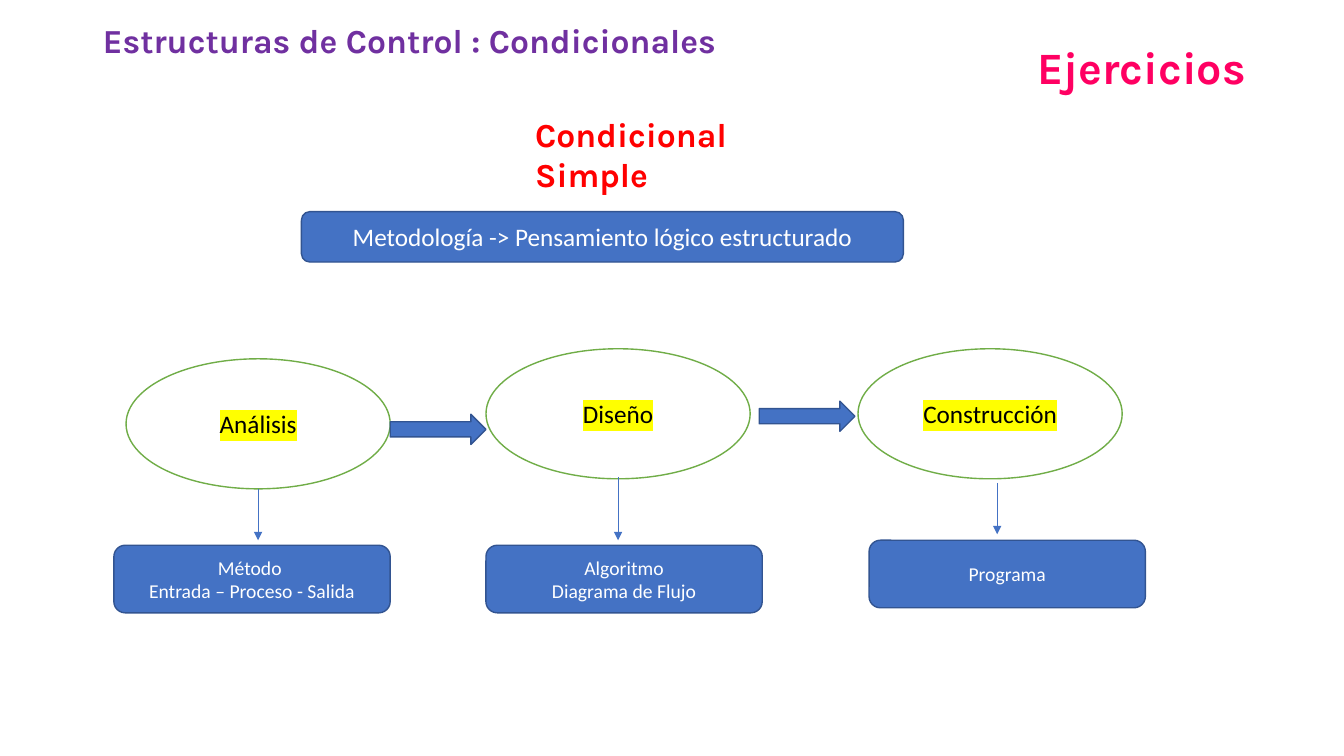
import pptx
import pptx.util
import pptx.dml.color
import pptx.enum.shapes
import pptx.enum.text
import pptx.oxml.ns
from lxml import etree

Inches, Pt = pptx.util.Inches, pptx.util.Pt
RGB = pptx.dml.color.RGBColor.from_string
SHAPE = pptx.enum.shapes.MSO_SHAPE
ALIGN = pptx.enum.text.PP_ALIGN
ANCHOR = pptx.enum.text.MSO_ANCHOR
qn = pptx.oxml.ns.qn

COLORS = {
    "white": "FFFFFF", "black": "000000", "blue": "4472C4", "navy": "325491",
    "green": "70AD47", "yellow": "FFFF00", "purple": "7030A0",
    "pink": "FF0062", "red": "FF0000",
}


def write(frame, lines, align, **font):
    """Fill a text frame, one paragraph per line; color is a key of COLORS."""
    color = font.pop("color")
    for i, line in enumerate(lines):
        paragraph = frame.paragraphs[0] if i == 0 else frame.add_paragraph()
        paragraph.alignment = align
        run = paragraph.add_run()
        run.text = line
        run.font.color.rgb = RGB(COLORS[color])
        for name, value in font.items():
            setattr(run.font, name, value)


def add_block(kind, left, top, width, height, fill, line):
    block = slide.shapes.add_shape(
        kind, Inches(left), Inches(top), Inches(width), Inches(height))
    block.shadow.inherit = False
    block.fill.solid()
    block.fill.fore_color.rgb = RGB(COLORS[fill])
    block.line.color.rgb = RGB(COLORS[line])
    block.line.width = Pt(1)
    block.text_frame.word_wrap = True
    block.text_frame.vertical_anchor = ANCHOR.MIDDLE
    return block


prs = pptx.Presentation()
prs.slide_width, prs.slide_height = Inches(13.33), Inches(7.5)
slide = prs.slides.add_slide(prs.slide_layouts[5])

# Stages of the method
stages = [("Análisis", 1.25, 3.56), ("Diseño", 4.82, 3.46), ("Construcción", 8.51, 3.46)]
for stage, left, top in stages:
    oval = add_block(SHAPE.OVAL, left, top, 2.62, 1.29, "white", "green")
    write(oval.text_frame, [stage], ALIGN.CENTER,
          color="black", size=Pt(18), name="Calibri")
    text_fill = oval.text_frame.paragraphs[0].runs[0].font.fill
    text_fill.solid()
    solid = next(oval._element.txBody.iter(qn("a:rPr"))).find(qn("a:solidFill"))
    highlight = etree.Element(qn("a:highlight"))
    etree.SubElement(highlight, qn("a:srgbClr"), val=COLORS["yellow"])
    text_fill.fore_color.rgb = RGB(COLORS["black"])
    solid.addnext(highlight)

methodology = add_block(SHAPE.ROUNDED_RECTANGLE, 2.99, 2.1, 5.97, 0.5, "blue", "navy")
write(methodology.text_frame, ["Metodología -> Pensamiento lógico estructurado"],
      ALIGN.CENTER, color="white", size=Pt(18), name="Calibri")

for left, top in [(3.87, 4.11), (7.53, 3.98)]:
    add_block(SHAPE.RIGHT_ARROW, left, top, 0.95, 0.3, "blue", "navy")

# Result of each stage
results = [
    (["Método ", "Entrada – Proceso - Salida"], 1.13, 5.41),
    (["Algoritmo", "Diagrama de Flujo"], 4.82, 5.41),
    (["Programa"], 8.62, 5.36),
]
for lines, left, top in results:
    result = add_block(SHAPE.ROUNDED_RECTANGLE, left, top, 2.74, 0.67, "blue", "navy")
    write(result.text_frame, lines, ALIGN.CENTER,
          color="white", size=Pt(14), name="Calibri")

for x, start, end in [(2.56, 4.85, 5.36), (6.13, 4.73, 5.36), (9.89, 4.79, 5.3)]:
    arrow = slide.shapes.add_connector(
        pptx.enum.shapes.MSO_CONNECTOR.STRAIGHT,
        Inches(x), Inches(start), Inches(x), Inches(end))
    arrow.line.color.rgb = RGB(COLORS["blue"])
    arrow.line.width = Pt(0.5)
    etree.SubElement(arrow.line._get_or_add_ln(), qn("a:tailEnd"), type="triangle")
    etree.SubElement(arrow._element.spPr, qn("a:effectLst"))

# Headings
exercises = slide.shapes.add_textbox(0, 0, 0, 0)
simple = slide.shapes.add_textbox(0, 0, 0, 0)
headings = [
    (exercises, "Ejercicios", (10.19, 0.34, 3.14, 0.64), 32, "pink", ALIGN.LEFT),
    (slide.shapes.title, "Estructuras de Control : Condicionales",
     (0.92, 0.15, 6.8, 0.5), 24, "purple", ALIGN.LEFT),
    (simple, "Condicional Simple", (5.21, 1.08, 3.23, 0.5), 24, "red", ALIGN.JUSTIFY),
]
for heading, text, place, size, color, align in headings:
    for side, length in zip(("left", "top", "width", "height"), place):
        setattr(heading, side, Inches(length))
    frame = heading.text_frame
    frame.word_wrap = True
    frame.auto_size = pptx.enum.text.MSO_AUTO_SIZE.SHAPE_TO_FIT_TEXT
    frame.vertical_anchor = ANCHOR.TOP
    write(frame, [text], align, color=color, size=Pt(size), name="Karla", bold=True)

prs.save("out.pptx")
